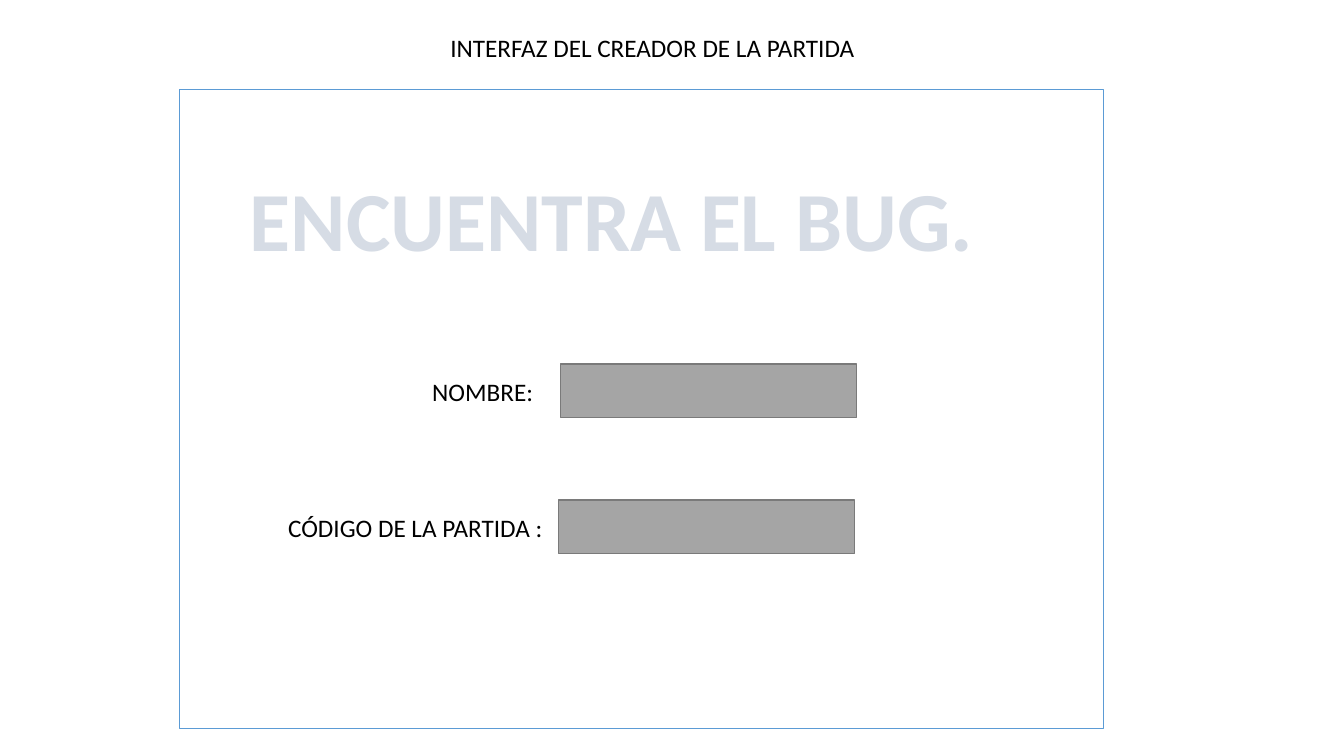
from pptx import Presentation
from pptx.dml.color import RGBColor
from pptx.enum import shapes, text
from pptx.util import Pt

BLACK = RGBColor(0x00, 0x00, 0x00)
BLUE = RGBColor(0x5B, 0x9B, 0xD5)
GRAY = RGBColor(0xA5, 0xA5, 0xA5)
DARK_GRAY = RGBColor(0x7A, 0x7A, 0x7A)
PALE_BLUE = RGBColor(0xD6, 0xDC, 0xE5)


class Painter:
    """Holds the text style and the current slide."""

    font = "Calibri"
    size = 18

    def __init__(self, page):
        self.page = page

    def rectangle(self, left, top, width, height, line, fill=None):
        shape = self.page.shapes.add_shape(
            shapes.MSO_SHAPE.RECTANGLE, Pt(left), Pt(top), Pt(width), Pt(height))
        shape.shadow.inherit = False
        shape.line.color.rgb = line
        shape.line.width = Pt(1)
        if fill is None:
            shape.fill.background()
        else:
            shape.fill.solid()
            shape.fill.fore_color.rgb = fill

    def label(self, words, left, top, width, height=29, size=None,
              color=BLACK, bold=False):
        box = self.page.shapes.add_textbox(Pt(left), Pt(top), Pt(width), Pt(height))
        frame = box.text_frame
        frame.word_wrap = True
        frame.auto_size = text.MSO_AUTO_SIZE.SHAPE_TO_FIT_TEXT
        para = frame.paragraphs[0]
        para.text = words
        para.font.name = self.font
        para.font.size = Pt(size or self.size)
        para.font.bold = bold
        para.font.color.rgb = color


deck = Presentation()
deck.slide_width, deck.slide_height = Pt(960), Pt(540)
painter = Painter(deck.slides.add_slide(deck.slide_layouts[6]))

# Heading and window frame
painter.label("INTERFAZ DEL CREADOR DE LA PARTIDA", 314.6, 19.4, 331.2)
painter.rectangle(128.2, 64.1, 660.2, 456.5, BLUE)

# Game title
painter.label("ENCUENTRA EL BUG.", 171.4, 115.9, 547.2, 80,
              size=60, color=PALE_BLUE, bold=True)

# Form rows: label, its left and width, left of the field, top of the field
rows = [
    ("NOMBRE:", 301.7, 98.6, 400.3, 259.9),
    ("CÓDIGO DE LA PARTIDA :", 198.7, 219.6, 398.9, 357.1),
]
for words, left, width, field_left, top in rows:
    painter.label(words, left, top + 5, width)
    painter.rectangle(field_left, top, 211.7, 38.2, DARK_GRAY, GRAY)

deck.save("out.pptx")
